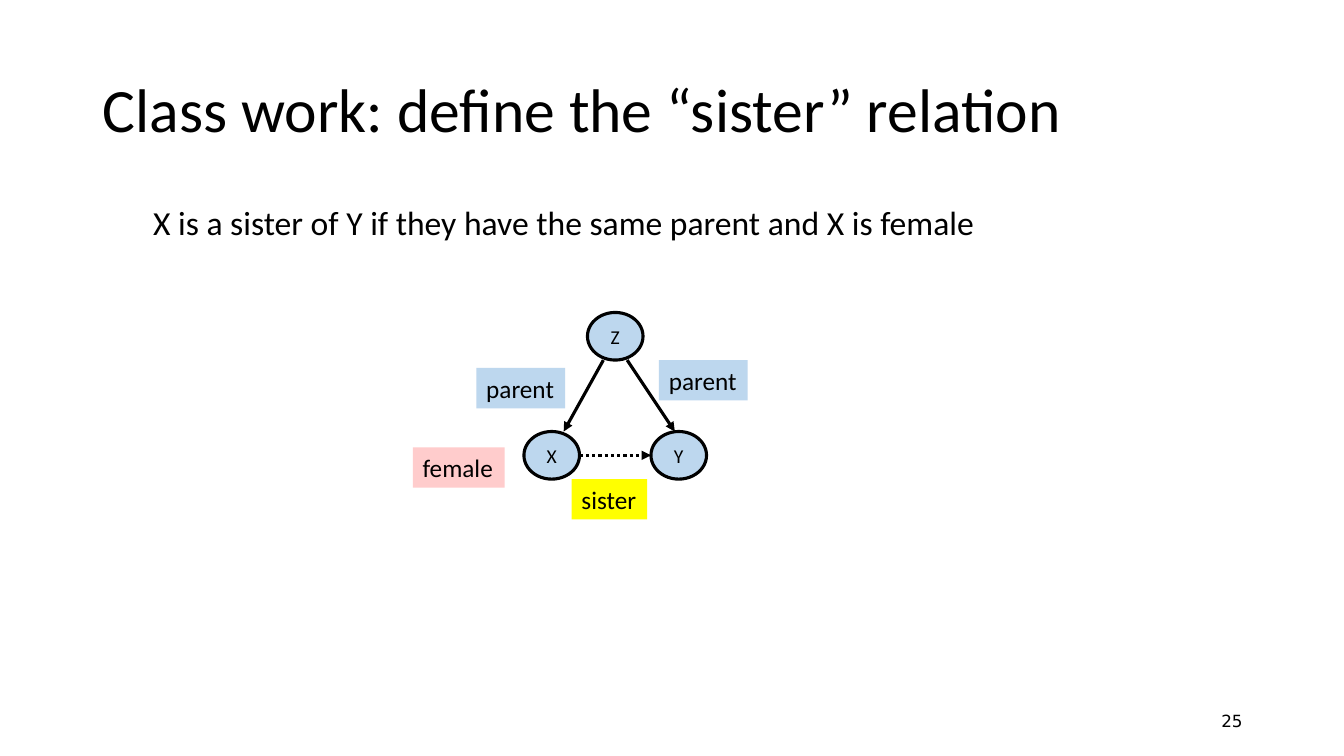
from dataclasses import dataclass
from typing import Optional

from lxml.etree import SubElement
from pptx import Presentation
from pptx.dml.color import RGBColor
from pptx.enum.dml import MSO_LINE
from pptx.enum.shapes import MSO_CONNECTOR, MSO_SHAPE
from pptx.enum.text import MSO_ANCHOR, PP_ALIGN
from pptx.oxml.ns import qn
from pptx.util import Inches, Length, Mm, Pt

# The diagram lies on a square grid of two millimetres
STEP = 2
ORIGIN_LEFT, ORIGIN_TOP = 104, 78.74
NODE_COLUMNS, NODE_ROWS = 7, 6
LABEL_ROWS = 5.08
LINE_WIDTH = Pt(2.25)
BLACK, BLUE, YELLOW, PINK = "000000", "BDD7EE", "FFFF00", "FFCCCC"


@dataclass
class Node:
    name: str
    column: float
    row: float


@dataclass
class Label:
    text: str
    column: float
    row: float
    columns: float
    fill: str


@dataclass
class Arrow:
    start: tuple[float, float]
    end: tuple[float, float]
    dash: Optional[MSO_LINE] = None


NODES = [Node("Z", 22, 0), Node("X", 14, 15), Node("Y", 30, 15)]
LABELS = [
    Label("parent", 31, 6, 11.18, BLUE),
    Label("parent", 8, 7, 11.18, BLUE),
    Label("sister", 20, 21, 9.53, YELLOW),
    Label("female", 0, 17, 11.56, PINK),
]
ARROWS = [
    Arrow((27, 6), (33, 15)),
    Arrow((24, 6), (19, 15)),
    Arrow((21, 18), (30, 18), MSO_LINE.ROUND_DOT),
]


def color(value: str) -> RGBColor:
    return RGBColor.from_string(value)


def across(column: float) -> Length:
    return Mm(ORIGIN_LEFT + STEP * column)


def down(row: float) -> Length:
    return Mm(ORIGIN_TOP + STEP * row)


def write(box, text: str, *, size: float, font: str = "Calibri",
          align=PP_ALIGN.LEFT, anchor=MSO_ANCHOR.TOP, wrap: bool = False,
          spacing: Optional[float] = None):
    frame = box.text_frame
    frame.word_wrap = wrap
    frame.vertical_anchor = anchor
    para = frame.paragraphs[0]
    para.alignment = align
    para.line_spacing = spacing
    span = para.add_run()
    span.text = text
    span.font.name = font
    span.font.size = Pt(size)
    span.font.color.rgb = color(BLACK)
    return para


def place(box, left: float, top: float, width: float, height: float) -> None:
    """Set a box from shares of the slide's size."""
    box.left, box.width = int(left * deck.slide_width), int(width * deck.slide_width)
    box.top, box.height = int(top * deck.slide_height), int(height * deck.slide_height)


def add_box(kind, column: float, row: float, columns: float, rows: float, fill: str):
    box = page.shapes.add_shape(kind, across(column), down(row),
                                Mm(STEP * columns), Mm(STEP * rows))
    box.shadow.inherit = False
    box.fill.solid()
    box.fill.fore_color.rgb = color(fill)
    box.line.fill.background()
    return box


def draw_node(node: Node) -> None:
    box = add_box(MSO_SHAPE.OVAL, node.column, node.row, NODE_COLUMNS, NODE_ROWS, BLUE)
    box.line.color.rgb = color(BLACK)
    box.line.width = LINE_WIDTH
    write(box, node.name, size=14, align=PP_ALIGN.CENTER, anchor=MSO_ANCHOR.MIDDLE)


def draw_label(label: Label) -> None:
    box = add_box(MSO_SHAPE.RECTANGLE, label.column, label.row,
                  label.columns, LABEL_ROWS, label.fill)
    write(box, label.text, size=18)


def draw_arrow(arrow: Arrow) -> None:
    (column, row), (end_column, end_row) = arrow.start, arrow.end
    connector = page.shapes.add_connector(MSO_CONNECTOR.STRAIGHT, across(column), down(row),
                                          across(end_column), down(end_row))
    connector.line.color.rgb = color(BLACK)
    connector.line.width = LINE_WIDTH
    if arrow.dash is not None:
        connector.line.dash_style = arrow.dash
    SubElement(connector.line._get_or_add_ln(), qn("a:tailEnd"), type="triangle")
    SubElement(connector._element.spPr, qn("a:effectLst"))


deck = Presentation()
deck.slide_width, deck.slide_height = Inches(13.33), Inches(7.5)
page = deck.slides.add_slide(deck.slide_layouts[5])

# Title
title = page.shapes.title
place(title, 0.069, 0.053, 0.863, 0.193)
write(title, "Class work: define the “sister” relation", size=44,
      anchor=MSO_ANCHOR.MIDDLE, wrap=True, spacing=0.9)

# Definition
definition = page.shapes.add_textbox(0, 0, 0, 0)
place(definition, 0.069, 0.267, 0.863, 0.635)
para = write(definition, "X is a sister of Y if they have the same parent and X is female",
             size=24, wrap=True, spacing=0.9)
para._p.get_or_add_pPr().set("marL", str(Inches(0.75)))
para._p.get_or_add_pPr().set("indent", str(Inches(-0.25)))

# Family diagram
for arrow in ARROWS:
    draw_arrow(arrow)
for node in NODES:
    draw_node(node)
for label in LABELS:
    draw_label(label)

# Page number
number = page.shapes.add_textbox(0, 0, 0, 0)
place(number, 0.707, 0.927, 0.225, 0.053)
write(number, "25", size=12, font="DejaVu Sans", align=PP_ALIGN.RIGHT,
      anchor=MSO_ANCHOR.MIDDLE, wrap=True)

deck.save("out.pptx")
